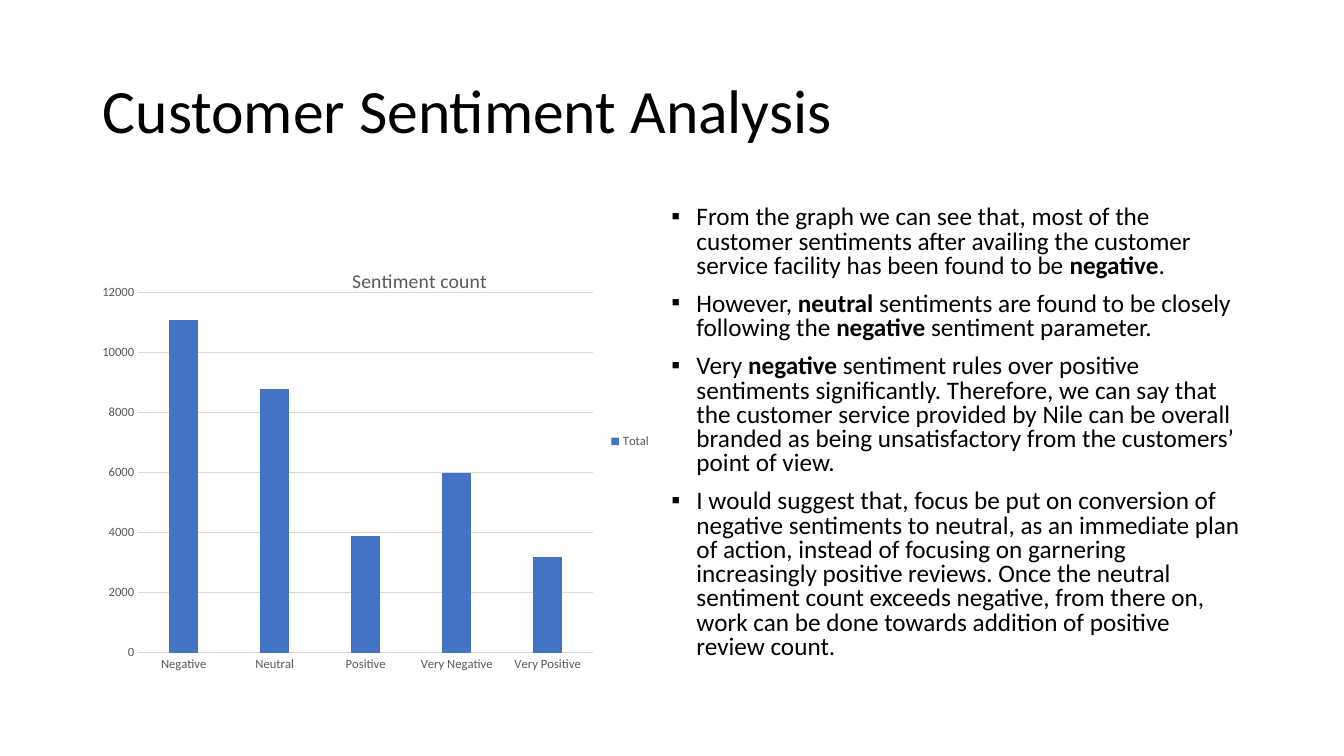
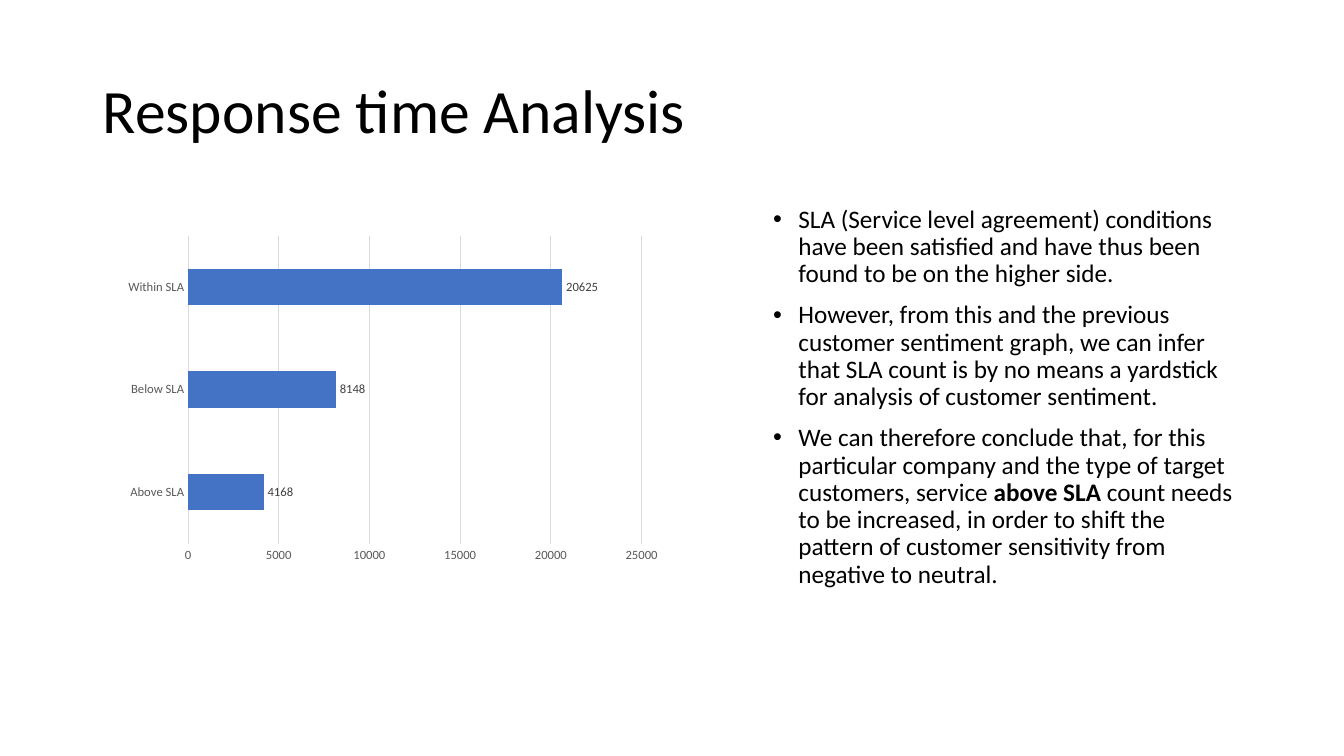
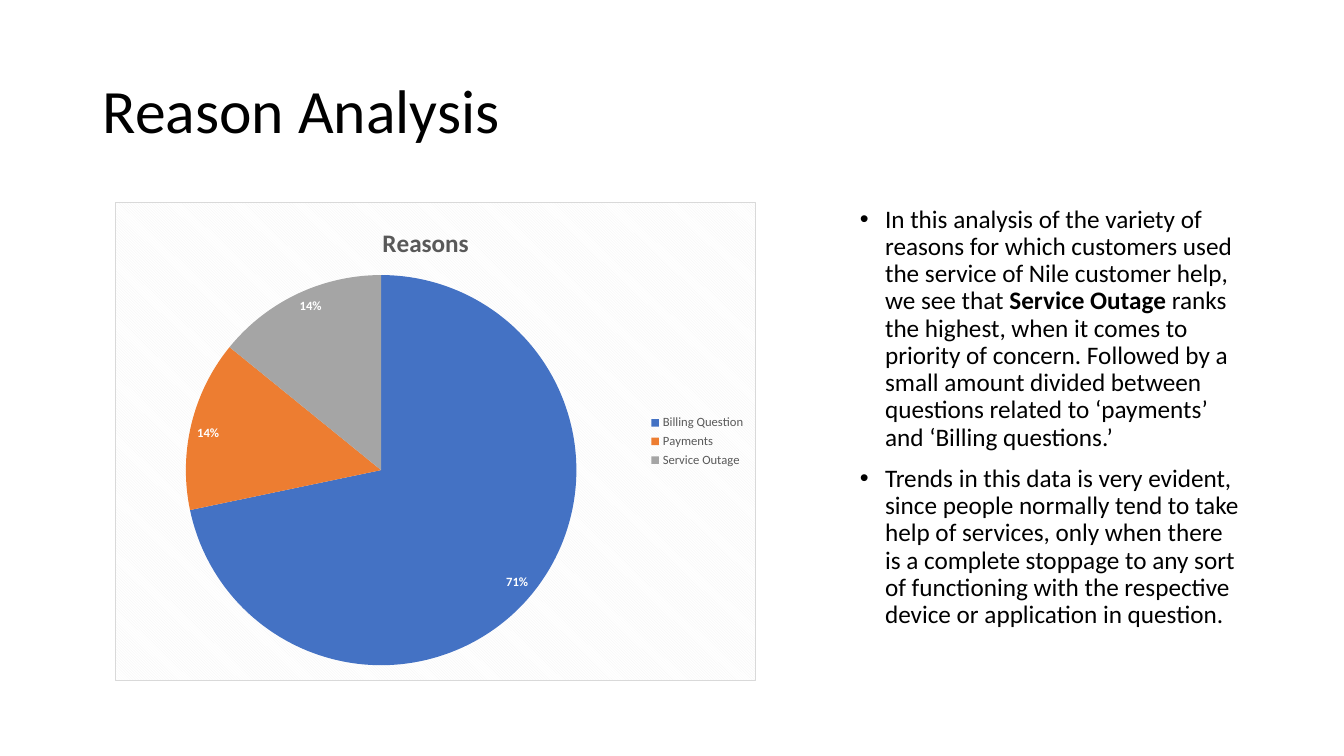
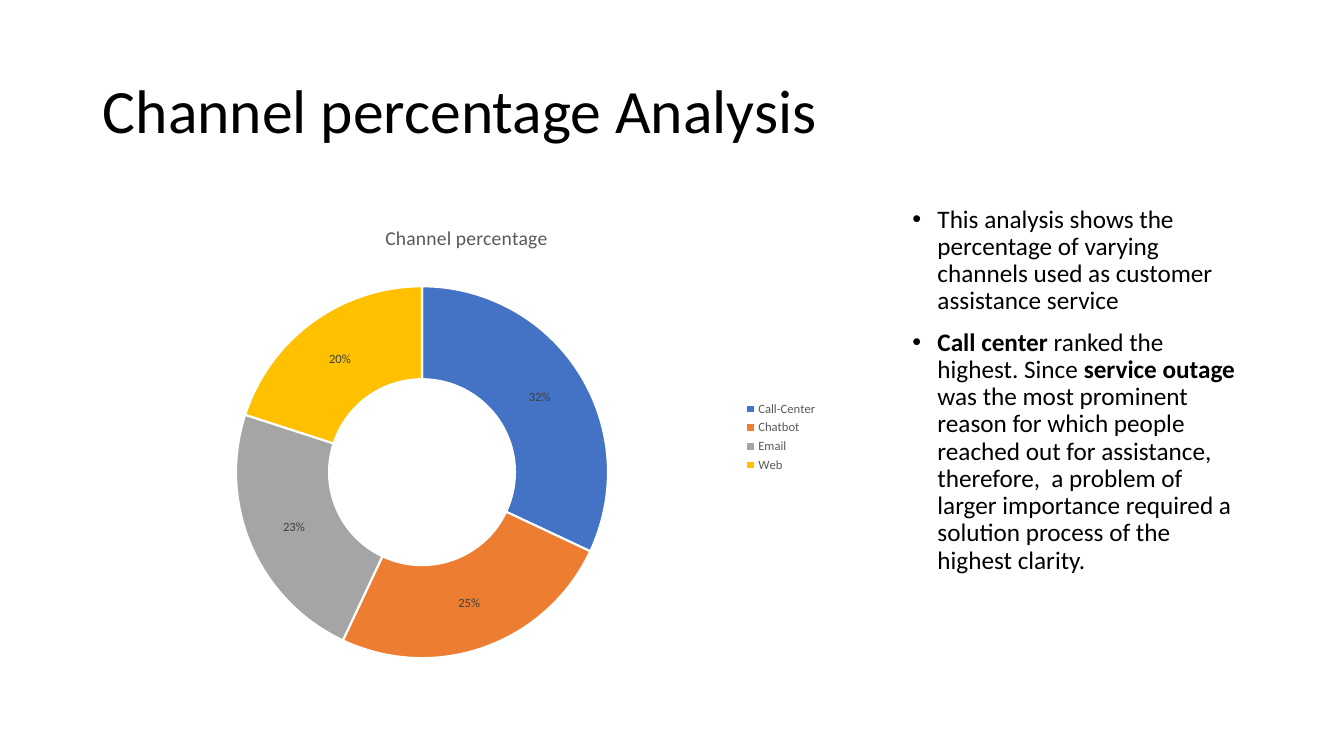
from dataclasses import dataclass

from lxml.etree import SubElement
from pptx import Presentation
from pptx.chart.chart import Chart
from pptx.chart.data import CategoryChartData
from pptx.dml.color import RGBColor
from pptx.enum.chart import XL_CHART_TYPE, XL_LABEL_POSITION, XL_LEGEND_POSITION, XL_TICK_MARK
from pptx.enum.text import MSO_ANCHOR, MSO_AUTO_SIZE, PP_ALIGN
from pptx.oxml import parse_xml
from pptx.oxml.ns import nsdecls, qn
from pptx.slide import Slide
from pptx.util import Inches, Pt


@dataclass(frozen=True)
class Theme:
    font: str = "Calibri"
    text: str = "000000"
    muted: str = "595959"
    label: str = "404040"
    white: str = "FFFFFF"
    grid: str = "D9D9D9"
    stripe: str = "F2F2F2"
    accents: tuple[str, ...] = ("4472C4", "ED7D31", "A5A5A5", "FFC000")
    title_size: float = 44
    body_size: float = 18
    chart_size: float = 10
    small_size: float = 9
    line_width: float = 0.75


THEME = Theme()


@dataclass(frozen=True)
class Box:
    left: float
    top: float
    width: float
    height: float

    def lengths(self) -> tuple[int, int, int, int]:
        return Inches(self.left), Inches(self.top), Inches(self.width), Inches(self.height)


@dataclass(frozen=True)
class ChartTitle:
    text: str
    left: float
    top: float
    size: float = 14
    bold: bool = False


@dataclass(frozen=True)
class Labels:
    number_format: str
    color: str = THEME.label
    bold: bool = False
    position: XL_LABEL_POSITION | None = None


@dataclass(frozen=True)
class Axis:
    maximum: float
    step: float
    gap_width: int
    overlap: int = 0


@dataclass(frozen=True)
class ChartDesign:
    kind: XL_CHART_TYPE
    box: Box
    plot_area: Box
    values: dict[str, float]
    series_name: str = "Series 1"
    title: ChartTitle | None = None
    labels: Labels | None = None
    axis: Axis | None = None
    legend: bool = True
    striped: bool = False
    slice_border: bool = False


@dataclass(frozen=True)
class Analysis:
    title: str
    text_left: float
    points: tuple[str, ...]
    chart: ChartDesign
    bullet: str = "•"
    line_spacing: float = 0.9


TITLE_BOX = Box(0.92, 0.4, 11.5, 1.45)
CONTENT_TOP, CONTENT_HEIGHT, CONTENT_RIGHT = 2, 4.76, 12.42
BULLET_INDENT = 0.25

ANALYSES = (
    Analysis(
        "Customer Sentiment Analysis",
        6.56,
        (
            "From the graph we can see that, most of the customer sentiments after availing the customer "
            "service facility has been found to be* negative*.",
            "However, *neutral *sentiments are found to be closely following the *negative* sentiment parameter.",
            "Very *negative* sentiment rules over positive sentiments significantly. Therefore, we can say that "
            "the customer service provided by Nile can be overall branded as being unsatisfactory from the "
            "customers’ point of view.",
            "I would suggest that, focus be put on conversion of negative sentiments to neutral, as an immediate "
            "plan of action, instead of focusing on garnering increasingly positive reviews. Once the neutral "
            "sentiment count exceeds negative, from there on, work can be done towards addition of positive "
            "review count.",
        ),
        ChartDesign(
            XL_CHART_TYPE.COLUMN_CLUSTERED,
            Box(0.92, CONTENT_TOP, 5.64, CONTENT_HEIGHT),
            Box(0.08, 0.19, 0.8, 0.75),
            {"Negative": 11100, "Neutral": 8800, "Positive": 3900, "Very Negative": 6000, "Very Positive": 3200},
            series_name="Total",
            title=ChartTitle("Sentiment count", 0.45, 0.13),
            axis=Axis(12000, 2000, 219, -27),
        ),
        bullet="▪",
        line_spacing=0.8,
    ),
    Analysis(
        "Response time Analysis",
        7.57,
        (
            "SLA (Service level agreement) conditions have been satisfied and have thus been found to be on "
            "the higher side.",
            "However, from this and the previous customer sentiment graph, we can infer that SLA count is by no "
            "means a yardstick for analysis of customer sentiment.",
            "We can therefore conclude that, for this particular company and the type of target customers, "
            "service *above SLA *count needs to be increased, in order to shift the pattern of customer "
            "sensitivity from negative to neutral.",
        ),
        ChartDesign(
            XL_CHART_TYPE.BAR_CLUSTERED,
            Box(0.74, CONTENT_TOP, 5.92, 3.77),
            Box(0.19, 0.09, 0.76, 0.81),
            {"Above SLA": 4168, "Below SLA": 8148, "Within SLA": 20625},
            labels=Labels("General", position=XL_LABEL_POSITION.OUTSIDE_END),
            axis=Axis(25000, 5000, 182),
            legend=False,
        ),
    ),
    Analysis(
        "Reason Analysis",
        8.43,
        (
            "In this analysis of the variety of reasons for which customers used the service of Nile customer "
            "help, we see that *Service Outage *ranks the highest, when it comes to priority of concern. "
            "Followed by a small amount divided between questions related to ‘payments’ and ‘Billing questions.’",
            "Trends in this data is very evident, since people normally tend to take help of services, only when "
            "there is a complete stoppage to any sort of functioning with the respective device or application "
            "in question.",
        ),
        ChartDesign(
            XL_CHART_TYPE.PIE,
            Box(1.14, CONTENT_TOP, 6.36, CONTENT_HEIGHT),
            Box(0.11, 0.15, 0.61, 0.82),
            {"Billing Question": 71, "Payments": 14, "Service Outage": 14},
            title=ChartTitle("Reasons", 0.41, 0.04, 18, True),
            labels=Labels('0"%"', THEME.white, True, XL_LABEL_POSITION.INSIDE_END),
            striped=True,
        ),
    ),
    Analysis(
        "Channel percentage Analysis",
        8.95,
        (
            "This analysis shows the percentage of varying channels used as customer assistance service",
            "*Call center *ranked the highest. Since *service outage *was the most prominent reason for which "
            "people reached out for assistance, therefore,  a problem of larger importance required a solution "
            "process of the highest clarity.",
        ),
        ChartDesign(
            XL_CHART_TYPE.DOUGHNUT,
            Box(0.96, CONTENT_TOP, 7.25, 4.67),
            Box(0.19, 0.18, 0.51, 0.79),
            {"Call-Center": 32, "Chatbot": 25, "Email": 23, "Web": 20},
            title=ChartTitle("Channel percentage", 0.39, 0.04),
            labels=Labels('0"%"'),
            slice_border=True,
        ),
    ),
)


def format_font(font, size: float, color: str, bold: bool = False) -> None:
    font.name = THEME.font
    font.size = Pt(size)
    font.bold = bold
    font.color.rgb = RGBColor.from_string(color)


def write_text(paragraph, text: str, *, size: float, color: str = THEME.text, bold: bool = False,
               line_spacing: float | None = None, space_before: float = 0, bullet: str = "") -> None:
    for index, part in enumerate(text.split("*")):
        if part:
            run = paragraph.add_run()
            run.text = part
            format_font(run.font, size, color, bold or index % 2 == 1)
    if line_spacing:
        paragraph.alignment = PP_ALIGN.LEFT
        paragraph.line_spacing = line_spacing
        paragraph.space_before = Pt(space_before)
    if bullet:
        properties = paragraph._p.get_or_add_pPr()
        properties.set("marL", str(Inches(BULLET_INDENT)))
        properties.set("indent", str(-Inches(BULLET_INDENT)))
        SubElement(properties, qn("a:buFont")).set("typeface", "Arial")
        SubElement(properties, qn("a:buChar")).set("char", bullet)


def add_title(slide: Slide, text: str) -> None:
    title = slide.shapes.title
    title.left, title.top, title.width, title.height = TITLE_BOX.lengths()
    frame = title.text_frame
    frame.auto_size = MSO_AUTO_SIZE.NONE
    frame.vertical_anchor = MSO_ANCHOR.MIDDLE
    write_text(frame.paragraphs[0], text, size=THEME.title_size, line_spacing=0.9)


def add_points(slide: Slide, analysis: Analysis) -> None:
    box = Box(analysis.text_left, CONTENT_TOP, CONTENT_RIGHT - analysis.text_left, CONTENT_HEIGHT)
    frame = slide.shapes.add_textbox(*box.lengths()).text_frame
    frame.word_wrap = True
    for index, point in enumerate(analysis.points):
        paragraph = frame.add_paragraph() if index else frame.paragraphs[0]
        write_text(paragraph, point, size=THEME.body_size, line_spacing=analysis.line_spacing,
                   space_before=10, bullet=analysis.bullet)


def set_layout(element, settings: dict[str, str | float]) -> None:
    for old_layout in element.findall(qn("c:layout")):
        element.remove(old_layout)
    content = "".join(f'<c:{name} val="{value}"/>' for name, value in settings.items())
    layout = parse_xml(
        f'<c:layout {nsdecls("c")}><c:manualLayout>{content}</c:manualLayout></c:layout>')
    text = element.find(qn("c:tx"))
    if text is None:
        element.insert(0, layout)
    else:
        text.addnext(layout)


def set_background(chart: Chart, striped: bool) -> None:
    fill, line = "<a:noFill/>", "<a:ln><a:noFill/></a:ln>"
    if striped:
        fill = (f'<a:pattFill prst="dkDnDiag"><a:fgClr><a:srgbClr val="{THEME.stripe}"/></a:fgClr>'
                f'<a:bgClr><a:srgbClr val="{THEME.white}"/></a:bgClr></a:pattFill>')
        line = (f'<a:ln w="{Pt(THEME.line_width)}"><a:solidFill><a:srgbClr val="{THEME.grid}"/>'
                "</a:solidFill></a:ln>")
    properties = parse_xml(f'<c:spPr {nsdecls("c", "a")}>{fill}{line}</c:spPr>')
    chart.element.find(qn("c:chart")).addnext(properties)


def format_line(line, color: str, width: float) -> None:
    line.color.rgb = RGBColor.from_string(color)
    line.width = Pt(width)


def format_axes(chart: Chart, axis: Axis) -> None:
    for chart_axis in (chart.category_axis, chart.value_axis):
        chart_axis.major_tick_mark = XL_TICK_MARK.NONE
        chart_axis.minor_tick_mark = XL_TICK_MARK.NONE
        format_font(chart_axis.tick_labels.font, THEME.small_size, THEME.muted)
    format_line(chart.category_axis.format.line, THEME.grid, THEME.line_width)
    value_axis = chart.value_axis
    value_axis.minimum_scale = 0
    value_axis.maximum_scale = axis.maximum
    value_axis.major_unit = axis.step
    value_axis.format.line.fill.background()
    format_line(value_axis.major_gridlines.format.line, THEME.grid, THEME.line_width)
    chart.plots[0].gap_width = axis.gap_width
    chart.plots[0].overlap = axis.overlap


def color_series(chart: Chart, design: ChartDesign) -> None:
    series = chart.plots[0].series[0]
    chart.plots[0].vary_by_categories = design.axis is None
    if design.axis:
        targets = [series]
    else:
        targets = [series.points[index] for index in range(len(design.values))]
    for target, color in zip(targets, THEME.accents):
        target.format.fill.solid()
        target.format.fill.fore_color.rgb = RGBColor.from_string(color)
        if design.slice_border:
            format_line(target.format.line, THEME.white, 1.5)


def add_labels(chart: Chart, labels: Labels) -> None:
    data_labels = chart.plots[0].series[0].data_labels
    data_labels.show_value = True
    data_labels.number_format = labels.number_format
    data_labels.number_format_is_linked = False
    format_font(data_labels.font, THEME.small_size, labels.color, labels.bold)
    if labels.position is not None:
        data_labels.position = labels.position


def add_chart_title(chart: Chart, title: ChartTitle) -> None:
    chart_title = chart.chart_title
    write_text(chart_title.text_frame.paragraphs[0], title.text, size=title.size,
               color=THEME.muted, bold=title.bold)
    set_layout(chart_title.element,
               {"xMode": "edge", "yMode": "edge", "x": title.left, "y": title.top})


def add_chart(slide: Slide, design: ChartDesign) -> None:
    data = CategoryChartData()
    data.categories = list(design.values)
    data.add_series(design.series_name, list(design.values.values()))
    chart = slide.shapes.add_chart(design.kind, *design.box.lengths(), data).chart
    format_font(chart.font, THEME.chart_size, THEME.text)
    set_background(chart, design.striped)
    color_series(chart, design)
    chart.has_title = design.title is not None
    if design.title:
        add_chart_title(chart, design.title)
    if design.axis:
        format_axes(chart, design.axis)
    if design.labels:
        add_labels(chart, design.labels)
    chart.has_legend = design.legend
    if design.legend:
        chart.legend.position = XL_LEGEND_POSITION.RIGHT
        chart.legend.include_in_layout = False
        format_font(chart.legend.font, THEME.small_size, THEME.muted)
    area = design.plot_area
    set_layout(chart.element.find(qn("c:chart")).find(qn("c:plotArea")),
               {"layoutTarget": "inner", "xMode": "edge", "yMode": "edge",
                "x": area.left, "y": area.top, "w": area.width, "h": area.height})


def main() -> None:
    presentation = Presentation()
    presentation.slide_width = Inches(13.33)
    presentation.slide_height = Inches(7.5)
    for analysis in ANALYSES:
        slide = presentation.slides.add_slide(presentation.slide_layouts[5])
        add_title(slide, analysis.title)
        add_points(slide, analysis)
        add_chart(slide, analysis.chart)
    presentation.save("out.pptx")


if __name__ == "__main__":
    main()
